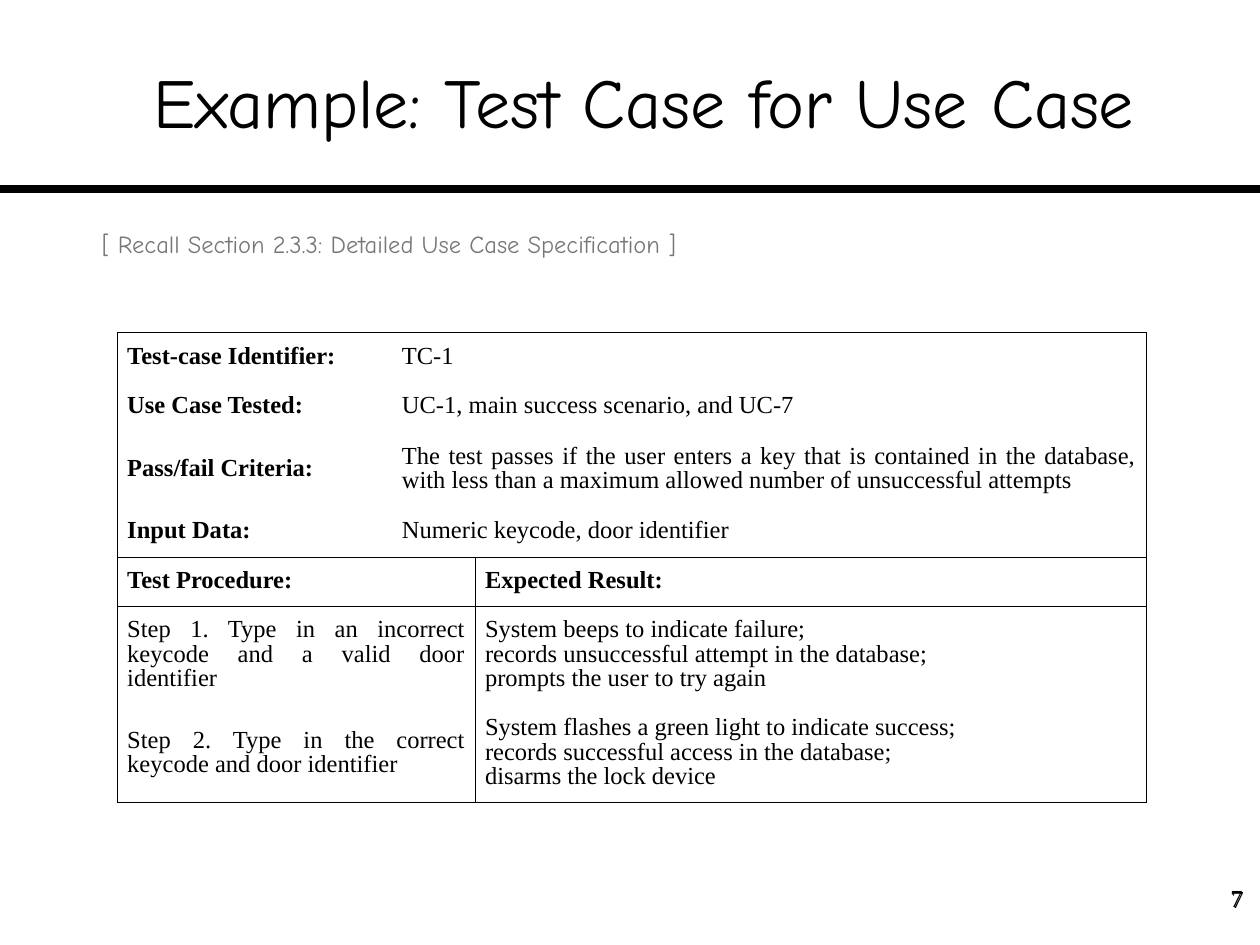
from lxml.etree import SubElement
from pptx import Presentation
from pptx.dml.color import RGBColor
from pptx.enum.shapes import MSO_CONNECTOR
from pptx.enum.text import MSO_ANCHOR, PP_ALIGN
from pptx.oxml.ns import qn
from pptx.util import Inches, Pt

COLORS = {"ink": "000000", "note": "777777"}
SERIF, HAND = "Times New Roman", "Comic Neue"

PAGE = "7"
TEXTS = [
    # text, (left, top, width, height), alignment, side inset, wrap, anchor, font
    (PAGE, (9.44, 6.96, 0.52, 0.5), PP_ALIGN.RIGHT, 0.1, True, MSO_ANCHOR.TOP,
     {"name": SERIF, "size": 14, "color": "ink"}),
    ("Example: Test Case for Use Case", (0.42, 0.17, 9.38, 1.25), PP_ALIGN.CENTER, 0,
     True, MSO_ANCHOR.MIDDLE, {"name": HAND, "size": 40, "color": "ink"}),
    (PAGE, (9.35, 6.97, 0.62, 0.5), PP_ALIGN.RIGHT, 0.1, True, MSO_ANCHOR.TOP,
     {"name": SERIF, "size": 14, "color": "ink"}),
    ("[ Recall Section 2.3.3: Detailed Use Case Specification ]", (0.71, 1.77, 4.77, 0.34),
     PP_ALIGN.LEFT, 0.1, False, MSO_ANCHOR.TOP, {"name": HAND, "size": 14, "color": "note"}),
]

COL_WIDTHS = [2.18, 0.66, 5.33]
ROW_HEIGHTS = [0.39, 0.4, 0.59, 0.4, 0.39, 0.78, 0.78]
SUMMARY = [
    ("Test-case Identifier:", "TC-1"),
    ("Use Case Tested:", "UC-1, main success scenario, and UC-7"),
    ("Pass/fail Criteria:", "The test passes if the user enters a key that is contained in the "
     "database, with less than a maximum allowed number of unsuccessful attempts"),
    ("Input Data:", "Numeric keycode, door identifier"),
]
PROCEDURE = [
    ("Test Procedure:", "Expected Result:"),
    ("Step 1. Type in an incorrect keycode and a valid door identifier",
     "System beeps to indicate failure;\nrecords unsuccessful attempt in the database;\n"
     "prompts the user to try again"),
    ("Step 2. Type in the correct keycode and door identifier",
     "System flashes a green light to indicate success;\n"
     "records successful access in the database;\ndisarms the lock device"),
]
HEADER = len(SUMMARY)
LAST_ROW, LAST_COL = len(ROW_HEIGHTS) - 1, len(COL_WIDTHS) - 1


def style_runs(p, name, size, color, bold=False):
    for r in p.runs:
        for key, value in {"name": name, "size": Pt(size), "bold": bold}.items():
            setattr(r.font, key, value)
        r.font.color.rgb = RGBColor.from_string(COLORS[color])


def add_text(s, text, box, align, inset, wrap, anchor, font):
    tf = s.shapes.add_textbox(*map(Inches, box)).text_frame
    frame = {"margin_left": Inches(inset), "margin_right": Inches(inset),
             "word_wrap": wrap, "vertical_anchor": anchor}
    for key, value in frame.items():
        setattr(tf, key, value)
    p = tf.paragraphs[0]
    p.text, p.alignment = text, align
    style_runs(p, **font)


def set_borders(cell, edges):
    """Rule the sides named in edges (of "LRTB") and clear the others."""
    tcPr = cell._tc.get_or_add_tcPr()
    for side in "LRTB":
        ln = SubElement(tcPr, qn(f"a:ln{side}"), w=str(Pt(0.45)))
        if side in edges:
            SubElement(SubElement(ln, qn("a:solidFill")), qn("a:srgbClr"), val=COLORS["ink"])
        else:
            SubElement(ln, qn("a:noFill"))
    cell.fill.background()


def fill_cell(cell, text, bold, align):
    cell.vertical_anchor = MSO_ANCHOR.MIDDLE
    cell.margin_left = cell.margin_right = Inches(0.08)
    p = cell.text_frame.paragraphs[0]
    p.text = text
    for key, value in {"alignment": align, "line_spacing": Pt(14), "space_before": Pt(6)}.items():
        setattr(p, key, value)
    style_runs(p, SERIF, 14, "ink", bold)


def add_test_case(s):
    frame = s.shapes.add_table(LAST_ROW + 1, LAST_COL + 1, Inches(0.93), Inches(2.64),
                               Inches(sum(COL_WIDTHS)), Inches(sum(ROW_HEIGHTS)))
    table = frame.table
    table.first_row = table.horz_banding = False
    for col, width in zip(table.columns, COL_WIDTHS):
        col.width = Inches(width)
    for row, height in zip(table.rows, ROW_HEIGHTS):
        row.height = Inches(height)

    for i, texts in enumerate(SUMMARY + PROCEDURE):
        boxed = i >= HEADER
        spans = [(0, 1), (2, 2)] if boxed else [(0, 0), (1, 2)]
        rules = ("T" if i in (0, HEADER, HEADER + 1) else "") + (
            "B" if i in (HEADER - 1, HEADER, LAST_ROW) else "")
        for side, (text, (first, last)) in enumerate(zip(texts, spans)):
            left = "L" if boxed or first == 0 else ""
            right = "R" if boxed or last == LAST_COL else ""
            for j in range(first, last + 1):
                set_borders(table.cell(i, j), rules + right + (left if j == first else ""))
            cell = table.cell(i, first)
            if last > first:
                cell.merge(table.cell(i, last))
            bold = i == HEADER or (not boxed and side == 0)
            align = PP_ALIGN.LEFT if i > HEADER and side == 1 else PP_ALIGN.JUSTIFY
            fill_cell(cell, text, bold, align)


def main():
    prs = Presentation()
    prs.slide_width, prs.slide_height = Inches(10), Inches(7.5)
    s = prs.slides.add_slide(prs.slide_layouts[6])

    rule = s.shapes.add_connector(MSO_CONNECTOR.STRAIGHT, 0, Inches(1.5), Inches(10), Inches(1.5))
    rule.line.width = Pt(4.5)
    rule.line.color.rgb = RGBColor.from_string(COLORS["ink"])
    SubElement(rule._element.spPr, qn("a:effectLst"))

    *front, recall = TEXTS
    for item in front:
        add_text(s, *item)
    add_test_case(s)
    add_text(s, *recall)
    prs.save("out.pptx")


if __name__ == "__main__":
    main()
